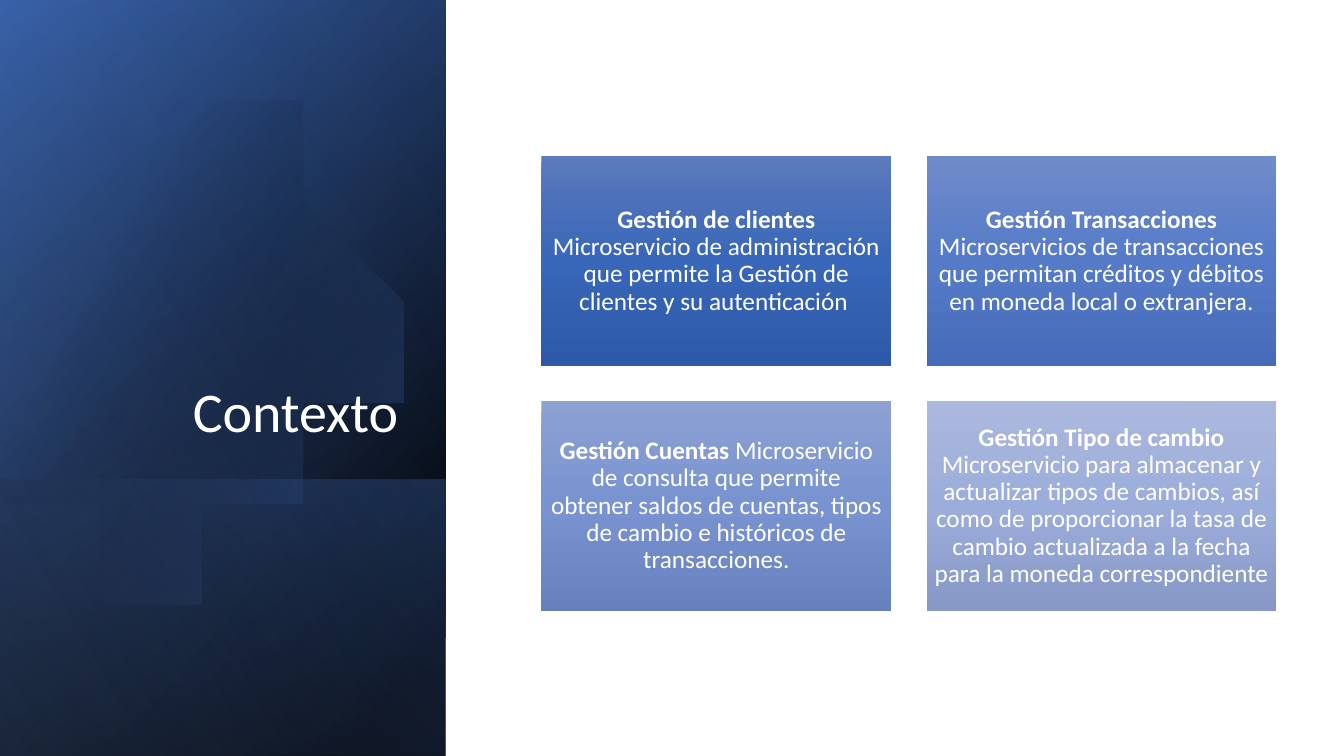
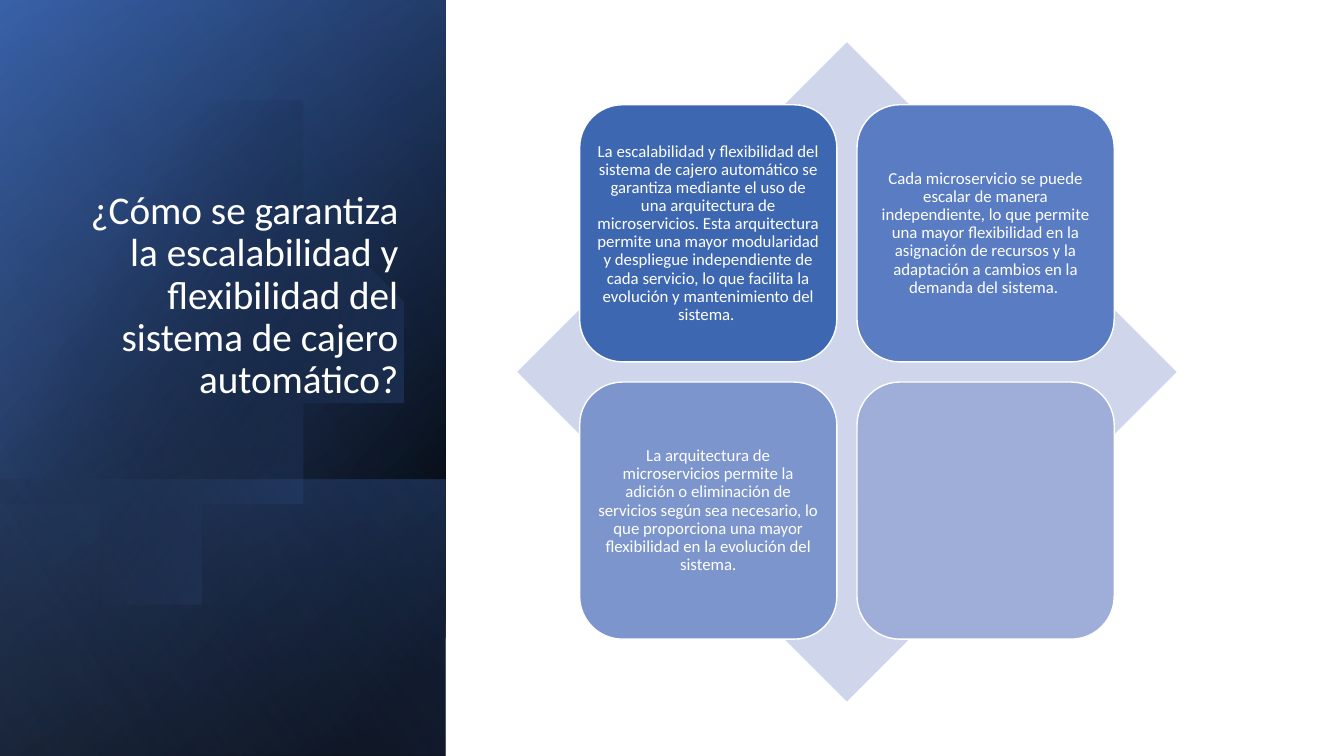
from lxml import etree
from pptx import Presentation
from pptx.dml.color import RGBColor
from pptx.enum.shapes import MSO_SHAPE
from pptx.enum.text import MSO_ANCHOR, MSO_AUTO_SIZE, PP_ALIGN
from pptx.oxml.ns import qn
from pptx.util import Inches, Pt

RECT, ROUNDED, DIAMOND = MSO_SHAPE.RECTANGLE, MSO_SHAPE.ROUNDED_RECTANGLE, MSO_SHAPE.DIAMOND
MIDDLE, BOTTOM = MSO_ANCHOR.MIDDLE, MSO_ANCHOR.BOTTOM
CENTER, RIGHT = PP_ALIGN.CENTER, PP_ALIGN.RIGHT
NO_AUTOFIT = MSO_AUTO_SIZE.NONE
TITLE_ONLY = 5

FONT = "Calibri"
WHITE, BLACK = "FFFFFF", "000000"
ACCENT, DEEP_BLUE, PALE_BLUE, DIAMOND_BLUE = "4472C4", "2F5597", "8FAADC", "CFD5EA"

# Side panel: left, top, width, height; gradient stops are (position, colour, opacity)
PANEL = (0, 0, 4.42, 7.5)
BAND = (0, 4.76, 4.42, 2.74)
PANEL_LAYERS = [
    (PANEL, [(8, BLACK, 100), (100, DEEP_BLUE, 100)], 50),
    (PANEL, [(0, BLACK, 0), (99, ACCENT, 46)], 30),
    (BAND, [(2, ACCENT, 29), (100, BLACK, 30)], 130),
]
PANEL_SHEEN = (PANEL, [(0, BLACK, 0), (99, PALE_BLUE, 11)], 120)
TITLE_BOX = (0.64, 1.84, 3.41, 2.62)

# Circle cut off at the left: start point, then Bezier curves (three points) and lines (one)
CIRCLE_START = (1.49, 1.1)
CIRCLE_PARTS = [
    [(2.46, 1.12), (3.35, 1.77), (3.63, 2.75)],
    [(3.98, 3.97), (3.28, 5.23), (2.07, 5.58)],
    [(1.31, 5.8), (0.53, 5.61), (-0.03, 5.14)],
    [(-0.15, 5.03)],
    [(-0.15, 1.75)],
    [(0, 1.61)],
    [(0.23, 1.42), (0.5, 1.28), (0.8, 1.19)],
    [(1.03, 1.13), (1.26, 1.1), (1.49, 1.1)],
]
CURVE_STEPS = 16

SERVICES = [
    ("Gestión de clientes ",
     "Microservicio de administración que permite la Gestión de clientes y su autenticación ",
     ("5C7ABD", "3866B8", "2D59A8")),
    ("Gestión Transacciones ",
     "Microservicios de transacciones que permitan créditos y débitos en moneda local o extranjera.",
     ("708BCA", "557BC8", "466BB8")),
    ("Gestión Cuentas ",
     "Microservicio de consulta que permite obtener saldos de cuentas, tipos de cambio e históricos "
     "de transacciones.",
     ("8DA1D3", "7993D1", "6781BE")),
    ("Gestión Tipo de cambio ",
     "Microservicio para almacenar y actualizar tipos de cambios, así como de proporcionar la tasa "
     "de cambio actualizada a la fecha para la moneda correspondiente",
     ("ABB8DD", "9CADDB", "8798C6")),
]

REASONS = [
    ("La escalabilidad y flexibilidad del sistema de cajero automático se garantiza mediante el uso "
     "de una arquitectura de microservicios. Esta arquitectura permite una mayor modularidad y "
     "despliegue independiente de cada servicio, lo que facilita la evolución y mantenimiento del "
     "sistema. ", "3E67B2"),
    ("Cada microservicio se puede escalar de manera independiente, lo que permite una mayor "
     "flexibilidad en la asignación de recursos y la adaptación a cambios en la demanda del "
     "sistema. ", "5A7CC3"),
    ("La arquitectura de microservicios permite la adición o eliminación de servicios según sea "
     "necesario, lo que proporciona una mayor flexibilidad en la evolución del sistema.", "7D95CD"),
    ("", "9FAED8"),
]


def color(hex_value):
    return RGBColor.from_string(hex_value)


def fill_gradient(shape, stops, angle):
    """Fill with a linear gradient; the angle runs clockwise in degrees."""
    shape.fill.background()
    empty_fill = shape.element.spPr.find(qn("a:noFill"))
    gradient = etree.Element(qn("a:gradFill"), rotWithShape="1")
    stop_list = etree.SubElement(gradient, qn("a:gsLst"))
    for position, hex_value, opacity in stops:
        stop = etree.SubElement(stop_list, qn("a:gs"), pos=str(position * 1000))
        tint = etree.SubElement(stop, qn("a:srgbClr"), val=hex_value)
        if opacity < 100:
            etree.SubElement(tint, qn("a:alpha"), val=str(opacity * 1000))
    etree.SubElement(gradient, qn("a:lin"), ang=str(angle * 60000), scaled="0")
    empty_fill.getparent().replace(empty_fill, gradient)


def add_plain_shape(slide, kind, box):
    shape = slide.shapes.add_shape(kind, *map(Inches, box))
    shape.shadow.inherit = False
    shape.line.fill.background()
    return shape


def write_text(shape, runs, size, align, anchor, inset):
    """Write one paragraph of (text, bold) runs."""
    frame = shape.text_frame
    frame.word_wrap = True
    frame.auto_size = NO_AUTOFIT
    frame.vertical_anchor = anchor
    frame.margin_left = frame.margin_right = frame.margin_top = frame.margin_bottom = Inches(inset)
    paragraph = frame.paragraphs[0]
    paragraph.alignment = align
    paragraph.line_spacing = 0.9
    for text, bold in runs:
        run = paragraph.add_run()
        run.text = text
        run.font.name = FONT
        run.font.size = Pt(size)
        run.font.bold = bold
        run.font.color.rgb = color(WHITE)


def grid_boxes(left, top, width, height, gap):
    """Four equal cells in two rows and two columns."""
    return [(left + column * (width + gap), top + row * (height + gap), width, height)
            for row in range(2) for column in range(2)]


# Side panel with title
def add_layer(slide, box, stops, angle):
    """Rectangle turned a quarter and mirrored so that it covers the box."""
    left, top, width, height = box
    shift = (width - height) / 2
    layer = add_plain_shape(slide, RECT, (left + shift, top - shift, height, width))
    layer.rotation = 90
    layer.element.spPr.find(qn("a:xfrm")).set("flipH", "1")
    fill_gradient(layer, stops, angle)


def circle_points():
    start = CIRCLE_START
    for part in CIRCLE_PARTS:
        if len(part) == 1:
            yield part[0]
        else:
            for step in range(1, CURVE_STEPS + 1):
                t = step / CURVE_STEPS
                weights = ((1 - t) ** 3, 3 * t * (1 - t) ** 2, 3 * t * t * (1 - t), t ** 3)
                yield tuple(sum(w * point[axis] for w, point in zip(weights, [start, *part]))
                            for axis in range(2))
        start = part[-1]


def add_circle(slide):
    builder = slide.shapes.build_freeform(*CIRCLE_START, scale=Inches(1))
    builder.add_line_segments(list(circle_points()), close=True)
    circle = builder.convert_to_shape()
    circle.shadow.inherit = False
    circle.line.fill.background()
    fill_gradient(circle, [(29, BLACK, 0), (100, ACCENT, 43)], 30)


def add_titled_slide(deck, title_text, size, space_below=0.05):
    slide = deck.slides.add_slide(deck.slide_layouts[TITLE_ONLY])
    for layer in PANEL_LAYERS:
        add_layer(slide, *layer)
    add_circle(slide)
    add_layer(slide, *PANEL_SHEEN)

    title = slide.shapes.title
    title.left, title.top, title.width, title.height = map(Inches, TITLE_BOX)
    write_text(title, [(title_text, False)], size, RIGHT, BOTTOM, 0.1)
    title.text_frame.margin_bottom = Inches(space_below)
    slide.shapes.element.append(title.element)  # bring in front of the panel
    return slide


# Four gradient cards
def add_service_cards(slide, boxes):
    for box, (name, description, tones) in zip(boxes, SERVICES):
        card = add_plain_shape(slide, RECT, box)
        fill_gradient(card, [(i * 50, tone, 100) for i, tone in enumerate(tones)], 90)
        write_text(card, [(name, True), (description, False)], 18, CENTER, MIDDLE, 0.07)


# Diamond with four rounded tiles
def add_reason_matrix(slide, left, top, side):
    diamond = add_plain_shape(slide, DIAMOND, (left, top, side, side))
    diamond.fill.solid()
    diamond.fill.fore_color.rgb = color(DIAMOND_BLUE)

    tile_side, gap = side * 0.39, 0.2
    margin = (side - 2 * tile_side - gap) / 2
    boxes = grid_boxes(left + margin, top + margin, tile_side, tile_side, gap)
    for box, (reason, tone) in zip(boxes, REASONS):
        tile = add_plain_shape(slide, ROUNDED, box)
        tile.fill.solid()
        tile.fill.fore_color.rgb = color(tone)
        tile.line.color.rgb = color(WHITE)
        tile.line.width = Pt(1)
        if reason:
            write_text(tile, [(reason, False)], 12, CENTER, MIDDLE, 0.05)


def main():
    deck = Presentation()
    deck.slide_width, deck.slide_height = Inches(13.33), Inches(7.5)

    context = add_titled_slide(deck, "Contexto", 40)
    add_service_cards(context, grid_boxes(5.37, 1.55, 3.47, 2.08, 0.35))

    scalability = add_titled_slide(
        deck, "¿Cómo se garantiza la escalabilidad y flexibilidad del sistema de cajero automático?",
        28, space_below=0.47)
    add_reason_matrix(scalability, 5.13, 0.42, 6.54)

    deck.save("out.pptx")


if __name__ == "__main__":
    main()
